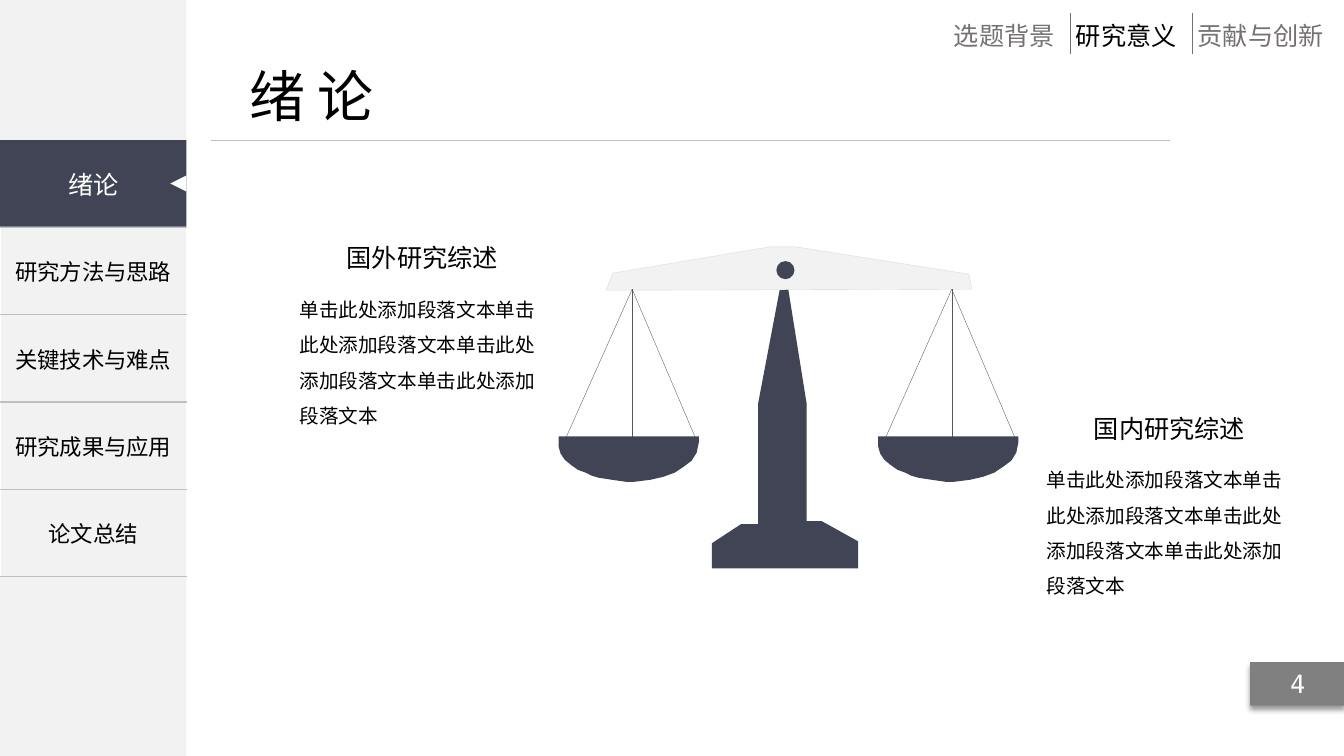
import pptx
import pptx.util
import pptx.dml.color
import pptx.enum.shapes
import pptx.enum.text
import pptx.oxml
import pptx.oxml.ns

Inches = pptx.util.Inches
SHAPE = pptx.enum.shapes.MSO_SHAPE
ALIGN = pptx.enum.text.PP_ALIGN
ANCHOR = pptx.enum.text.MSO_ANCHOR
FONT = "Noto Sans CJK SC"
DARK, PALE, GREY, BLACK, WHITE = "414455", "F2F2F2", "767171", "000000", "FFFFFF"
BODY = "单击此处添加段落文本" * 4
PAN_OUTLINE = [
    (0, 0), (0, 0.1), (0.02, 0.17), (0.06, 0.23), (0.12, 0.28), (0.19, 0.33),
    (0.27, 0.36), (0.33, 0.39), (0.4, 0.41), (0.53, 0.43), (0.67, 0.45),
    (0.75, 0.45), (0.91, 0.43), (1.04, 0.4), (1.15, 0.36), (1.24, 0.3),
    (1.32, 0.24), (1.37, 0.16), (1.39, 0.06), (1.39, 0),
]
POST_OUTLINE = [
    (0.72, 0), (0.94, 1.37), (0.94, 2.54), (1.09, 2.54), (1.45, 2.74), (1.45, 3.01),
    (0, 3.01), (0, 2.76), (0.29, 2.57), (0.46, 2.57), (0.46, 1.37),
]
BEAM_OUTLINE = [(0, 0.43), (3.63, 0.42), (3.6, 0.27), (1.89, 0), (1.62, 0), (0.07, 0.26)]


def color(value):
    return pptx.dml.color.RGBColor.from_string(value)


def paint(shape, fill, line=None):
    shape.shadow.inherit = False
    shape.fill.solid()
    shape.fill.fore_color.rgb = color(fill)
    if line:
        shape.line.color.rgb = color(line)
        shape.line.width = pptx.util.Pt(0.25)
    else:
        shape.line.fill.background()
    return shape


def add_block(shapes, kind, left, top, width, height, fill):
    block = shapes.add_shape(kind, Inches(left), Inches(top), Inches(width), Inches(height))
    return paint(block, fill)


def add_outline(shapes, left, top, points, fill, line=None):
    places = [(Inches(left + x), Inches(top + y)) for x, y in points]
    builder = shapes.build_freeform(*places[0])
    builder.add_line_segments(places[1:], close=True)
    return paint(builder.convert_to_shape(), fill, line)


def add_line(shapes, start, end, stroke, width):
    line = shapes.add_connector(
        pptx.enum.shapes.MSO_CONNECTOR.STRAIGHT, *[Inches(n) for n in start + end])
    line.line.color.rgb = color(stroke)
    line.line.width = pptx.util.Pt(width)
    properties = line._element.spPr
    properties.append(properties.makeelement(pptx.oxml.ns.qn("a:effectLst"), {}))


def write(frame, text, size=18, ink=BLACK, font=FONT, align=ALIGN.LEFT, spacing=1.0):
    para = frame.paragraphs[0]
    para.alignment = align
    para.line_spacing = spacing
    span = para.add_run()
    span.text = text
    span.font.size = pptx.util.Pt(size)
    span.font.color.rgb = color(ink)
    span.font.name = font
    properties = span._r.get_or_add_rPr()
    properties.append(properties.makeelement(pptx.oxml.ns.qn("a:ea"), {"typeface": font}))


def set_frame(frame, wrap=True, anchor=ANCHOR.TOP):
    frame.margin_left = frame.margin_right = Inches(0.05)
    frame.margin_top = frame.margin_bottom = Inches(0.05)
    frame.word_wrap = wrap
    frame.vertical_anchor = anchor
    frame.auto_size = pptx.enum.text.MSO_AUTO_SIZE.SHAPE_TO_FIT_TEXT


def add_text(page, left, top, width, height, text, wrap=True, anchor=ANCHOR.TOP, **style):
    box = page.shapes.add_textbox(Inches(left), Inches(top), Inches(width), Inches(height))
    set_frame(box.text_frame, wrap, anchor)
    write(box.text_frame, text, **style)


def add_title(page, left, top, width, height, text):
    title = page.shapes.title
    title.left, title.top = Inches(left), Inches(top)
    title.width, title.height = Inches(width), Inches(height)
    set_frame(title.text_frame, wrap=False)
    write(title.text_frame, text, size=40)


def add_topics(page, left, top, step, topics, current):
    for index, topic in enumerate(topics):
        x = left + index * step
        ink = BLACK if topic == current else GREY
        add_text(page, x, top, 0.11 + 0.25 * len(topic), 0.45, topic, wrap=False, ink=ink)
        if index:
            add_line(page.shapes, (x, top - 0.02), (x, top + 0.39), GREY, 0.5)


def set_border(cell, sides, stroke):
    properties = cell._tc.get_or_add_tcPr()
    for position, side in enumerate(sides):
        properties.insert(position, pptx.oxml.parse_xml(
            f'<a:{side} {pptx.oxml.ns.nsdecls("a")} w="12700"><a:solidFill>'
            f'<a:srgbClr val="{stroke}"/></a:solidFill></a:{side}>'))


def add_menu(page, left, top, width, height, current, chapters):
    rows = len(chapters) + 1
    table = page.shapes.add_table(
        rows, 1, Inches(left), Inches(top), Inches(width), Inches(height)).table
    table.first_row = table.horz_banding = False
    for index, chapter in enumerate([""] + chapters):
        cell = table.cell(index, 0)
        cell.fill.background()
        set_border(cell, ["lnT", "lnB"], "BFBFBF")
        cell.margin_left = cell.margin_right = Inches(0.05)
        cell.margin_top = cell.margin_bottom = Inches(0.05)
        cell.vertical_anchor = ANCHOR.MIDDLE
        if chapter:
            write(cell.text_frame, chapter, size=16, align=ALIGN.CENTER)
    add_block(page.shapes, SHAPE.RECTANGLE, left, top, width, 0.86, DARK)
    add_text(page, left, top + 0.21, width, 0.45, current,
             anchor=ANCHOR.MIDDLE, ink=WHITE, align=ALIGN.CENTER)
    marker = add_block(page.shapes, SHAPE.ISOSCELES_TRIANGLE,
                       left + width - 0.16, top + 0.35, 0.16, 0.16, WHITE)
    marker.rotation = 270


def add_page_number(page, left, top, width, height, number):
    badge = add_block(page.shapes, SHAPE.RECTANGLE, left, top, width, height, "808080")
    effects = badge._element.spPr.find(pptx.oxml.ns.qn("a:effectLst"))
    effects.append(pptx.oxml.parse_xml(
        f'<a:outerShdw {pptx.oxml.ns.nsdecls("a")} blurRad="50800" dist="38100" dir="5400000">'
        '<a:srgbClr val="000000"><a:alpha val="40000"/></a:srgbClr></a:outerShdw>'))
    set_frame(badge.text_frame, anchor=ANCHOR.MIDDLE)
    write(badge.text_frame, number, ink=WHITE, font="DejaVu Sans Mono", align=ALIGN.CENTER)


def add_pan(page, left, top):
    shapes = page.shapes.add_group_shape().shapes
    hook = (left + 0.73, top - 1.46)
    for x in (1.36, 0.73, 0.07):
        add_line(shapes, hook, (left + x, top + 0.02), "595959", 0.25)
    add_outline(shapes, left, top, PAN_OUTLINE, DARK)


def add_scales(page, left, top):
    add_outline(page.shapes, left + 1.52, top + 0.18, POST_OUTLINE, DARK)
    add_outline(page.shapes, left + 0.47, top, BEAM_OUTLINE, PALE, "D9D9D9")
    add_block(page.shapes, SHAPE.OVAL, left + 2.16, top + 0.14, 0.18, 0.18, DARK)
    for x in (0, 3.17):
        add_pan(page, left + x, top + 1.88)


def add_review(page, left, top, heading, body):
    add_text(page, left + 0.24, top, 2.06, 0.44, heading, align=ALIGN.CENTER)
    add_text(page, left, top + 0.43, 2.56, 1.62, body, size=14, spacing=1.5)


def main():
    deck = pptx.Presentation()
    deck.slide_width, deck.slide_height = Inches(13.33), Inches(7.5)
    page = deck.slides.add_slide(deck.slide_layouts[5])
    add_block(page.shapes, SHAPE.RECTANGLE, 0, 0, 1.85, 7.5, PALE)
    add_line(page.shapes, (2.09, 1.39), (11.6, 1.39), "BFBFBF", 0.5)
    add_title(page, 2.42, 0.56, 1.38, 0.88, "绪 论")
    add_topics(page, 9.41, 0.15, 1.21, ["选题背景", "研究意义", "贡献与创新"], "研究意义")
    add_menu(page, 0, 1.39, 1.85, 4.33, "绪论",
             ["研究方法与思路", "关键技术与难点", "研究成果与应用", "论文总结"])
    add_page_number(page, 12.4, 6.57, 0.94, 0.43, "4")
    add_scales(page, 5.54, 2.45)
    add_review(page, 10.33, 4.05, "国内研究综述", BODY)
    add_review(page, 2.92, 2.36, "国外研究综述", BODY)
    deck.save("out.pptx")


if __name__ == "__main__":
    main()
